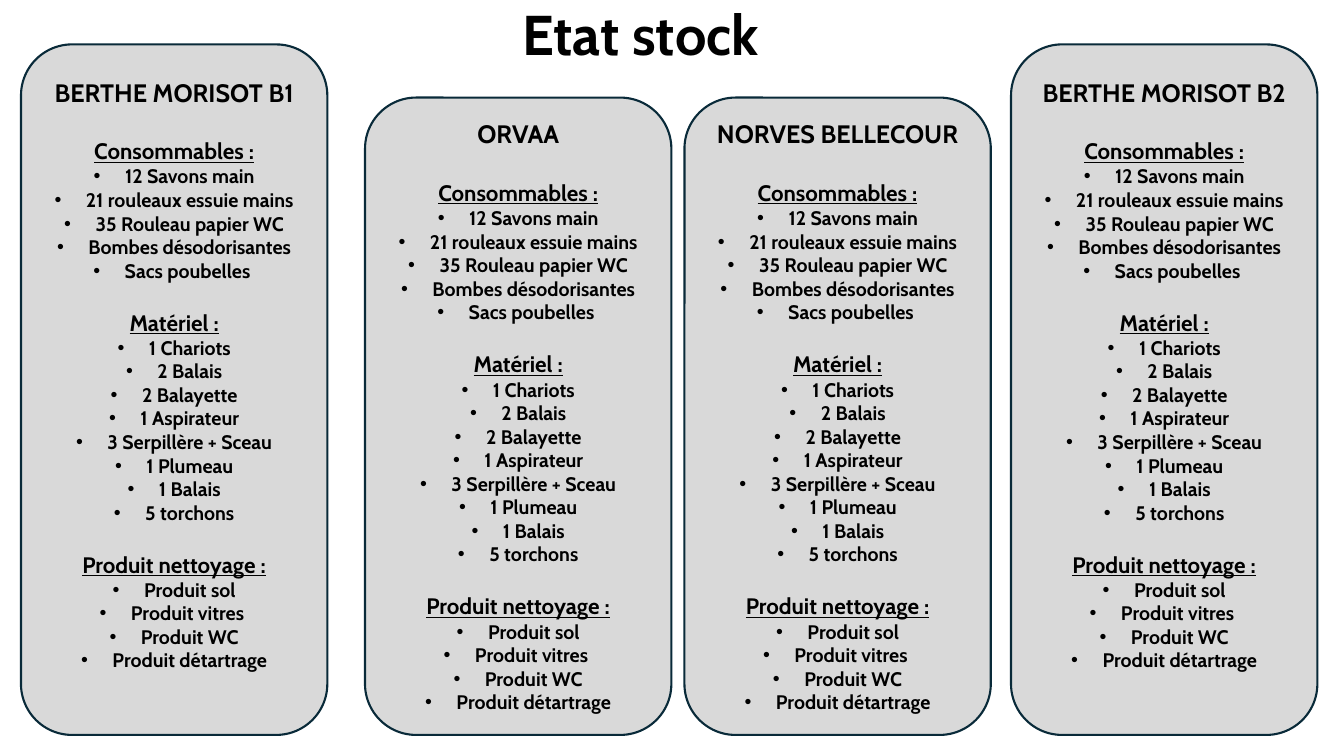
import dataclasses

import lxml.etree
import pptx
import pptx.dml.color
import pptx.enum.shapes
import pptx.enum.text
import pptx.oxml.ns
import pptx.util
from pptx.util import Cm, Pt


@dataclasses.dataclass(frozen=True)
class Theme:
    font: str = "Cabin"
    ink: str = "000000"
    panel: str = "D9D9D9"
    border: str = "092A39"
    halo: str = "FFFFFF"
    title: int = 40
    site: int = 18
    section: int = 16
    item: int = 14


theme = Theme()
line_height = 1.2


def rgb(code):
    return pptx.dml.color.RGBColor.from_string(code)


def add_line(frame, words, size, first=False):
    line = frame.paragraphs[0] if first else frame.add_paragraph()
    line.alignment = pptx.enum.text.PP_ALIGN.CENTER
    run = line.add_run()
    run.text = words
    run.font.name = theme.font
    run.font.size = Pt(size)
    run.font.bold = True
    run.font.color.rgb = rgb(theme.ink)
    return line, run


supplies = {
    "Consommables :": [
        "12 Savons main", "21 rouleaux essuie mains", "35 Rouleau papier WC",
        "Bombes désodorisantes", "Sacs poubelles ",
    ],
    "Matériel :": [
        "1 Chariots", "2 Balais", "2 Balayette", "1 Aspirateur",
        "3 Serpillère + Sceau", "1 Plumeau", "1 Balais", "5 torchons",
    ],
    "Produit nettoyage :": [
        "Produit sol", "Produit vitres ", "Produit WC", "Produit détartrage",
    ],
}

panel_width, panel_bottom = 7.72, 18.52
tall_top, short_top = 1.12, 2.46
tall_inset, short_inset = 0.89, 0.13
sites = [
    ("BERTHE MORISOT B1", 0.53, tall_top, tall_inset),
    ("ORVAA", 9.2, short_top, short_inset),
    ("NORVES BELLECOUR", 17.25, short_top, short_inset),
    ("BERTHE MORISOT B2", 25.48, tall_top, tall_inset),
]

deck = pptx.Presentation()
deck.slide_width, deck.slide_height = Cm(33.87), Cm(19.05)
slide = deck.slides.add_slide(deck.slide_layouts[6])

for site, left, top, bottom_inset in sites:
    stock = slide.shapes.add_shape(
        pptx.enum.shapes.MSO_SHAPE.ROUNDED_RECTANGLE,
        Cm(left), Cm(top), Cm(panel_width), Cm(panel_bottom - top))
    stock.shadow.inherit = False
    stock.fill.solid()
    stock.fill.fore_color.rgb = rgb(theme.panel)
    stock.line.color.rgb = rgb(theme.border)
    stock.line.width = Pt(1.5)
    frame = stock.text_frame
    frame.word_wrap = True
    frame.vertical_anchor = pptx.enum.text.MSO_ANCHOR.MIDDLE
    frame.margin_bottom = Cm(bottom_inset)

    add_line(frame, site, theme.site, first=True)
    gap = theme.site * line_height
    for section, items in supplies.items():
        heading, heading_run = add_line(frame, section, theme.section)
        heading_run.font.underline = True
        heading.space_before = Pt(gap)
        gap = theme.section * line_height
        for item in items:
            entry, _ = add_line(frame, item, theme.item)
            properties = entry._p.get_or_add_pPr()
            properties.set("marL", str(Cm(0.79)))
            properties.set("indent", str(-Cm(0.79)))
            for tag, key, value in [("a:buFont", "typeface", "Arial"), ("a:buChar", "char", "•")]:
                bullet = lxml.etree.SubElement(properties, pptx.oxml.ns.qn(tag))
                bullet.set(key, value)

heading_box = slide.shapes.add_textbox(Cm(12.65), Cm(-0.13), Cm(6.99), Cm(1.96))
heading_box.text_frame.word_wrap = False
heading_box.text_frame.auto_size = pptx.enum.text.MSO_AUTO_SIZE.SHAPE_TO_FIT_TEXT
_, title_run = add_line(heading_box.text_frame, "Etat stock", theme.title, first=True)
halo = lxml.etree.Element(pptx.oxml.ns.qn("a:ln"), w=str(Pt(0.75)))
halo_fill = lxml.etree.SubElement(halo, pptx.oxml.ns.qn("a:solidFill"))
lxml.etree.SubElement(halo_fill, pptx.oxml.ns.qn("a:srgbClr"), val=theme.halo)
title_run._r.get_or_add_rPr().insert(0, halo)

deck.save("out.pptx")
